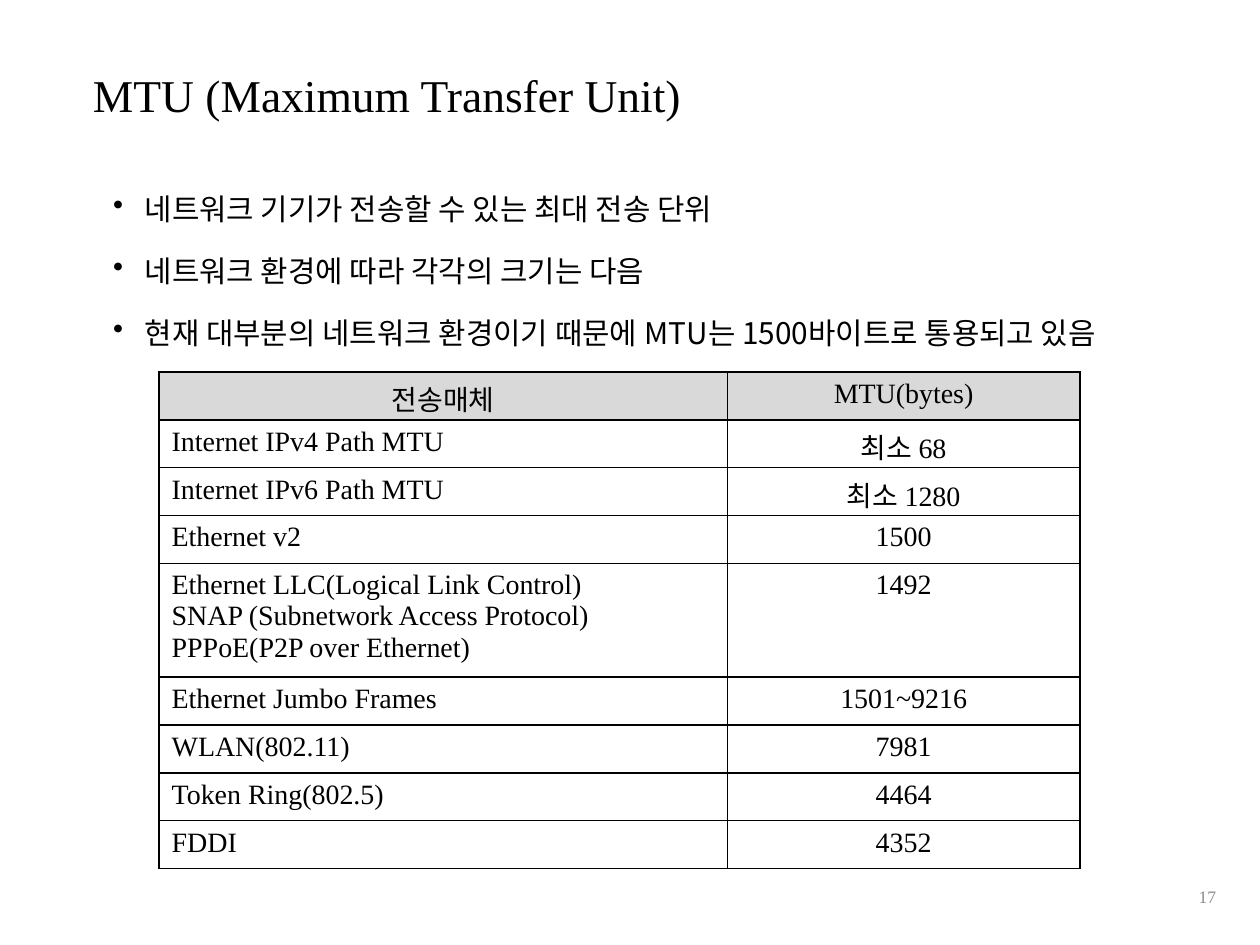
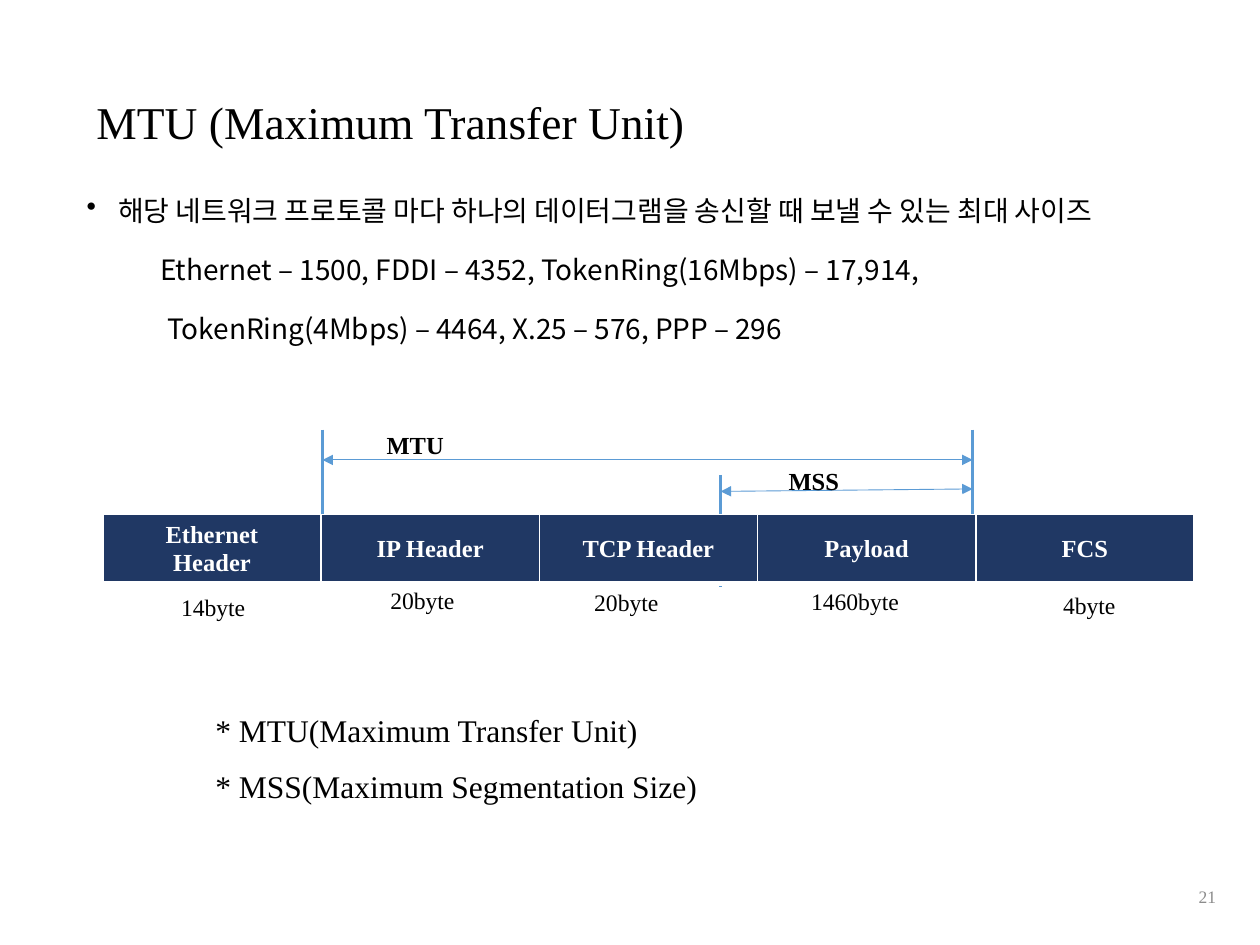
"""Build two slides that explain the maximum transfer unit."""
import dataclasses

import lxml.etree
import pptx
import pptx.dml.color
import pptx.enum.shapes
import pptx.enum.text
import pptx.oxml.ns
import pptx.util

Pt = pptx.util.Pt
ALIGN = pptx.enum.text.PP_ALIGN
ANCHOR = pptx.enum.text.MSO_ANCHOR
qualified = pptx.oxml.ns.qn


@dataclasses.dataclass(frozen=True)
class Theme:
    """Colours, fonts and type sizes of the slides."""
    ink: str = "000000"
    paper: str = "FFFFFF"
    muted: str = "8C8C8C"
    header_fill: str = "D9D9D9"
    frame_fill: str = "203864"
    guide: str = "5B9BD5"
    latin: str = "Times New Roman"
    korean: str = "Noto Sans CJK KR"
    title_size: float = 26
    legend_size: float = 18
    body_size: float = 17
    small_body_size: float = 16
    table_size: float = 16
    frame_size: float = 14
    byte_size: float = 13.5
    number_size: float = 10


THEME = Theme()

MEDIA_ROWS = [
    ("전송매체", "MTU(bytes)"),
    ("Internet IPv4 Path MTU", "최소 68"),
    ("Internet IPv6 Path MTU", "최소 1280"),
    ("Ethernet v2", "1500"),
    ("Ethernet LLC(Logical Link Control)\nSNAP (Subnetwork Access Protocol)\n"
     "PPPoE(P2P over Ethernet)", "1492"),
    ("Ethernet Jumbo Frames", "1501~9216"),
    ("WLAN(802.11)", "7981"),
    ("Token Ring(802.5)", "4464"),
    ("FDDI", "4352"),
]
FRAME_FIELDS = ["Ethernet\nHeader", "IP Header", "TCP Header", "Payload", "FCS"]
BYTE_LABELS = [
    ("14byte", 96.5, 335),
    ("20byte", 216, 331),
    ("20byte", 332.5, 332.5),
    ("1460byte", 456.5, 332),
    ("4byte", 600.5, 334),
]


def rgb(color):
    """Return a colour object for a hexadecimal string."""
    return pptx.dml.color.RGBColor.from_string(color)


def style_paragraph(paragraph, size, color=THEME.ink, font=THEME.latin,
                    bold=False, align=ALIGN.LEFT):
    """Set the alignment and the Latin and Korean fonts of a paragraph."""
    paragraph.alignment = align
    paragraph.font.size = Pt(size)
    paragraph.font.bold = bold
    paragraph.font.color.rgb = rgb(color)
    paragraph.font.name = font
    defaults = paragraph._p.pPr.find(qualified("a:defRPr"))
    lxml.etree.SubElement(defaults, qualified("a:ea"), typeface=THEME.korean)


def indent_paragraph(paragraph, left, bullet=False):
    """Indent a paragraph and optionally hang a bullet before it."""
    properties = paragraph._p.get_or_add_pPr()
    properties.set("marL", str(Pt(left)))
    properties.set("indent", str(Pt(-18 if bullet else 0)))
    if bullet:
        lxml.etree.SubElement(properties, qualified("a:buChar"), char="•")


def add_text(slide, left, top, width, height, text, size,
             anchor=ANCHOR.TOP, spacing=None, **style):
    """Add a wrapping text box with one paragraph for each line."""
    shape = slide.shapes.add_textbox(Pt(left), Pt(top), Pt(width), Pt(height))
    frame = shape.text_frame
    frame.word_wrap = True
    frame.vertical_anchor = anchor
    frame.text = text
    for paragraph in frame.paragraphs:
        paragraph.line_spacing = spacing
        style_paragraph(paragraph, size, **style)


def add_body(slide, left, top, size, lines):
    """Add body lines given as text, indent and bullet flag."""
    shape = slide.shapes.add_textbox(Pt(left), Pt(top), Pt(698), Pt(182))
    frame = shape.text_frame
    frame.word_wrap = True
    frame.text = "\n".join(text for text, _, _ in lines)
    for paragraph, (_, indent, bullet) in zip(frame.paragraphs, lines):
        indent_paragraph(paragraph, indent, bullet)
        paragraph.line_spacing = 1.5
        paragraph.space_before = Pt(5)
        style_paragraph(paragraph, size, font=THEME.korean)


def add_heading(slide, left, top, number):
    """Add the shared title and the slide number."""
    add_text(slide, left, top, 403, 39, "MTU (Maximum Transfer Unit)",
             THEME.title_size)
    add_text(slide, 540, 497.5, 162, 29, number, THEME.number_size,
             anchor=ANCHOR.MIDDLE, color=THEME.muted, align=ALIGN.RIGHT)


def set_borders(cell, color, bottom_width=1):
    """Draw the four borders of a table cell."""
    properties = cell._tc.get_or_add_tcPr()
    for side, width in zip("LRTB", (1, 1, 1, bottom_width)):
        line = lxml.etree.SubElement(properties, qualified(f"a:ln{side}"),
                                     w=str(Pt(width)))
        fill = lxml.etree.SubElement(line, qualified("a:solidFill"))
        lxml.etree.SubElement(fill, qualified("a:srgbClr"), val=color)


def add_table(slide, left, top, column_widths, row_heights):
    """Add a table without banding and return it."""
    shape = slide.shapes.add_table(
        len(row_heights), len(column_widths), Pt(left), Pt(top),
        Pt(sum(column_widths)), Pt(sum(row_heights)))
    table = shape.table
    table.first_row = table.horz_banding = False
    for column, width in zip(table.columns, column_widths):
        column.width = Pt(width)
    for row, height in zip(table.rows, row_heights):
        row.height = Pt(height)
    return table


def fill_cell(cell, text, size, fill=None, **style):
    """Write and style the text of a cell and set its fill."""
    cell.text = text
    for paragraph in cell.text_frame.paragraphs:
        style_paragraph(paragraph, size, **style)
    if fill:
        cell.fill.solid()
        cell.fill.fore_color.rgb = rgb(fill)
    else:
        cell.fill.background()


def add_media_table(slide):
    """Add the table of transfer units by medium."""
    heights = [63.4 if "\n" in medium else 27.4 for medium, _ in MEDIA_ROWS]
    table = add_table(slide, 90.9, 212.5, [324.7, 201.6], heights)
    for row, texts in enumerate(MEDIA_ROWS):
        for column, text in enumerate(texts):
            is_header = row == 0
            centred = is_header or column == 1
            cell = table.cell(row, column)
            set_borders(cell, THEME.ink)
            fill_cell(cell, text, THEME.table_size,
                      fill=THEME.header_fill if is_header else None,
                      align=ALIGN.CENTER if centred else ALIGN.LEFT)


def add_frame_table(slide):
    """Add the one-row table of Ethernet frame fields."""
    table = add_table(slide, 58.8, 294, [124.7] * len(FRAME_FIELDS), [35.3])
    for column, field in enumerate(FRAME_FIELDS):
        cell = table.cell(0, column)
        cell.margin_left = cell.margin_right = Pt(5)
        cell.margin_top = cell.margin_bottom = Pt(3)
        cell.vertical_anchor = ANCHOR.MIDDLE
        set_borders(cell, THEME.paper, bottom_width=3)
        fill_cell(cell, field, THEME.frame_size, fill=THEME.frame_fill,
                  color=THEME.paper, bold=True, align=ALIGN.CENTER)


def add_line(slide, start, end, width, arrows=False):
    """Add a guide line, optionally with an arrowhead at each end."""
    connector = slide.shapes.add_connector(
        pptx.enum.shapes.MSO_CONNECTOR.STRAIGHT,
        *(Pt(length) for length in (*start, *end)))
    connector.line.width = Pt(width)
    connector.line.color.rgb = rgb(THEME.guide)
    properties = connector._element.spPr
    if arrows:
        line = properties.find(qualified("a:ln"))
        for tag in ("a:headEnd", "a:tailEnd"):
            lxml.etree.SubElement(line, qualified(tag), type="triangle")
    lxml.etree.SubElement(properties, qualified("a:effectLst"))


def add_frame_diagram(slide):
    """Add the frame fields with their sizes and the MTU and MSS spans."""
    mtu_left, mss_left, right = 184.3, 411.8, 555.8
    for x, top in ((mss_left, 271.4), (mtu_left, 245.5), (right, 245.5)):
        add_line(slide, (x, top), (x, top + 64), 1.5)
    add_frame_table(slide)
    add_line(slide, (mtu_left, 262.8), (right, 262.8), 0.5, arrows=True)
    add_line(slide, (mss_left, 280.8), (right, 279.4), 0.5, arrows=True)
    for text, left, top in (("MTU", 213.8, 242), ("MSS", 443.5, 262.8)):
        add_text(slide, left, top, 60, 24, text, THEME.frame_size, bold=True)
    for text, left, top in BYTE_LABELS:
        add_text(slide, left, top, 80, 24, text, THEME.byte_size)


def build_media_slide(slide):
    """Build the slide that lists transfer units by medium."""
    add_heading(slide, 46, 34.6, "17")
    add_body(slide, 21.6, 95, THEME.body_size, [
        ("네트워크 기기가 전송할 수 있는 최대 전송 단위", 54, True),
        ("네트워크 환경에 따라 각각의 크기는 다음", 54, True),
        ("현재 대부분의 네트워크 환경이기 때문에 MTU는 1500바이트로 통용되고 있음",
         54, True),
    ])
    add_media_table(slide)


def build_frame_slide(slide):
    """Build the slide that shows MTU and MSS in a frame."""
    add_heading(slide, 48, 50.4, "21")
    add_body(slide, 6.5, 97.2, THEME.small_body_size, [
        ("해당 네트워크 프로토콜 마다 하나의 데이터그램을 송신할 때 보낼 수 있는 최대 사이즈",
         54, True),
        ("Ethernet – 1500, FDDI – 4352, TokenRing(16Mbps) – 17,914,", 78, False),
        ("TokenRing(4Mbps) – 4464, X.25 – 576, PPP – 296", 82, False),
    ])
    add_frame_diagram(slide)
    add_text(slide, 116, 391.7, 415, 69,
             "* MTU(Maximum Transfer Unit)\n* MSS(Maximum Segmentation Size)",
             THEME.legend_size, spacing=1.5)


def main():
    """Create the presentation and save it."""
    presentation = pptx.Presentation()
    presentation.slide_width = Pt(720)
    presentation.slide_height = Pt(540)
    blank_layout = presentation.slide_layouts[6]
    for build_slide in (build_media_slide, build_frame_slide):
        build_slide(presentation.slides.add_slide(blank_layout))
    presentation.save("out.pptx")


if __name__ == "__main__":
    main()
